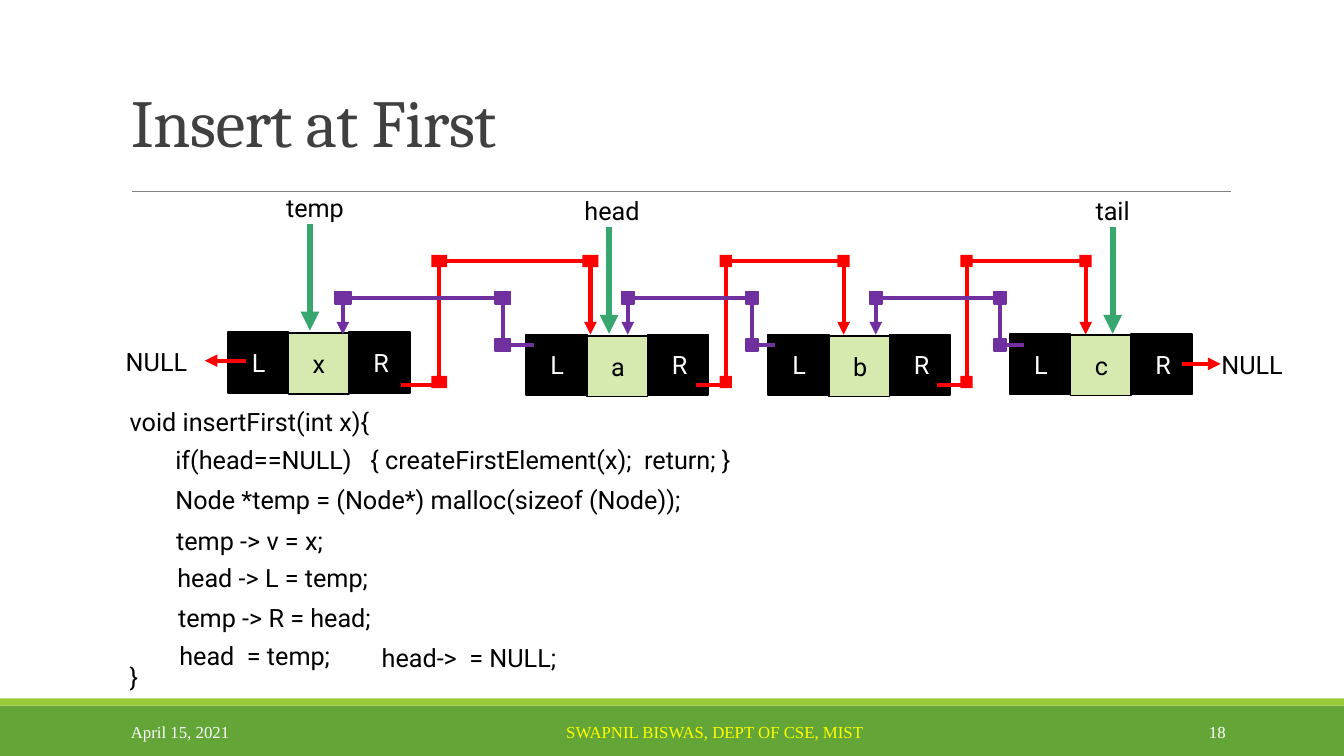
from lxml import etree
from pptx import Presentation
from pptx.dml.color import RGBColor
from pptx.enum.shapes import MSO_CONNECTOR, MSO_SHAPE
from pptx.enum.text import MSO_ANCHOR, PP_ALIGN
from pptx.oxml.ns import qn
from pptx.util import Cm, Pt

STRAIGHT = MSO_CONNECTOR.STRAIGHT
RECTANGLE = MSO_SHAPE.RECTANGLE
TOP, MIDDLE, BOTTOM = MSO_ANCHOR.TOP, MSO_ANCHOR.MIDDLE, MSO_ANCHOR.BOTTOM
LEFT, RIGHT = PP_ALIGN.LEFT, PP_ALIGN.RIGHT

BLACK = RGBColor(0x00, 0x00, 0x00)
WHITE = RGBColor(0xFF, 0xFF, 0xFF)
GRAY = RGBColor(0x80, 0x80, 0x80)
TITLE_GRAY = RGBColor(0x40, 0x40, 0x40)
YELLOW = RGBColor(0xFF, 0xFF, 0x00)
FOOTER_GREEN = RGBColor(0x63, 0xA5, 0x37)
STRIPE_GREEN = RGBColor(0x99, 0xCB, 0x38)
VALUE_GREEN = RGBColor(0xD6, 0xEA, 0xAF)
POINTER_GREEN = RGBColor(0x37, 0xA7, 0x6F)
RED = RGBColor(0xFF, 0x00, 0x00)
PURPLE = RGBColor(0x70, 0x30, 0xA0)

CELL = 1.53
TEXT_HEIGHT = 1.02
JOINT_HEIGHT = 0.31

NODES = [
    (5.74, 8.37, "x"),
    (13.26, 8.43, "a"),
    (19.36, 8.43, "b"),
    (25.45, 8.41, "c"),
]
POINTERS = [
    ("temp", 6.96, 4.72, 7.81),
    ("head", 14.48, 4.8, 15.35),
    ("tail", 27.36, 4.8, 28.04),
]
NEXT_LINKS = [
    (10.11, 11.07, 14.88, 0.4),
    (17.53, 18.29, 21.26, 0.31),
    (23.62, 24.36, 27.36, 0.31),
]
PREVIOUS_LINKS = [
    (13.46, 12.67, 8.64, 0.4),
    (19.53, 18.95, 15.82, 0.31),
    (25.81, 25.2, 22.07, 0.31),
]
CODE_LINES = [
    ("void insertFirst(int x){", 3.02, 10.11),
    ("if(head==NULL)   { createFirstElement(x);  return; }", 4.17, 11.07),
    ("Node *temp = (Node*) malloc(sizeof (Node));", 4.17, 12.07),
    ("temp -> v = x;", 4.19, 13.11),
    ("head -> L = temp;", 4.22, 14.05),
    ("temp -> R = head;", 4.24, 15.06),
    ("head  = temp;", 4.27, 16.0),
    ("head->  = NULL;", 9.37, 16.05),
    ("}", 3.02, 16.54),
]


def write(shape, text, size, font, color, align=LEFT):
    paragraph = shape.text_frame.paragraphs[0]
    paragraph.text = text
    paragraph.alignment = align
    paragraph.font.size = Pt(size)
    paragraph.font.name = font
    paragraph.font.color.rgb = color
    return paragraph


def add_text(slide, text, left, top, width, height=TEXT_HEIGHT, size=18,
             font="Roboto", color=BLACK, anchor=TOP, align=LEFT):
    box = slide.shapes.add_textbox(Cm(left), Cm(top), Cm(width), Cm(height))
    box.text_frame.word_wrap = True
    box.text_frame.vertical_anchor = anchor
    return write(box, text, size, font, color, align)


def add_rectangle(slide, left, top, width, height, fill, outline=None):
    shape = slide.shapes.add_shape(RECTANGLE, Cm(left), Cm(top), Cm(width), Cm(height))
    shape.shadow.inherit = False
    shape.fill.solid()
    shape.fill.fore_color.rgb = fill
    if outline is None:
        shape.line.fill.background()
    else:
        shape.line.color.rgb = outline
        shape.line.width = Pt(1.25)
    return shape


def add_line(slide, start, end, color, width=3, arrow=False):
    points = [Cm(value) for value in (*start, *end)]
    connector = slide.shapes.add_connector(STRAIGHT, *points)
    connector.line.color.rgb = color
    connector.line.width = Pt(width)
    if arrow:
        outline = connector.line._get_or_add_ln()
        etree.SubElement(outline, qn("a:tailEnd"), type="triangle")
    etree.SubElement(connector._element.spPr, qn("a:effectLst"))


def add_node(slide, left, top, value):
    cells = [
        ("L", 0, BLACK, WHITE),
        ("R", 0, BLACK, WHITE),
        (value, 0.03, VALUE_GREEN, BLACK),
    ]
    for (text, drop, fill, color), column in zip(cells, (0, 2, 1)):
        cell = add_rectangle(slide, left + column * CELL, top + drop, CELL, CELL, fill, BLACK)
        cell.text_frame.margin_left = Cm(0.61)
        cell.text_frame.margin_right = 0
        cell.text_frame.vertical_anchor = MIDDLE
        write(cell, text, 18, "Roboto", color)


def add_pointer(slide, label, left, top, tip):
    add_line(slide, (tip, top + 0.92), (tip, top + 3.61), POINTER_GREEN, 4.5, True)
    add_text(slide, label, left, top, 2.03)


def add_link(slide, link, start_height, joint_height, top, color, outline=None):
    start, turn, end, joint_width = link
    corners = [(start, start_height), (turn, start_height), (turn, top), (end, top), (end, 8.43)]
    for index, (first, second) in enumerate(zip(corners, corners[1:])):
        add_line(slide, first, second, color, arrow=index == 3)
    for x, y in [(turn, joint_height), (turn, top), (end, top)]:
        add_rectangle(slide, x - joint_width / 2, y - JOINT_HEIGHT / 2,
                      joint_width, JOINT_HEIGHT, color, outline)


def add_frame(slide):
    add_rectangle(slide, 0, 17.78, 33.87, 1.27, FOOTER_GREEN)
    add_rectangle(slide, 0, 17.6, 33.87, 0.18, STRIPE_GREEN)
    add_line(slide, (3.33, 4.83), (31.01, 4.83), GRAY, 0.5)
    footer = {"size": 12, "font": "Times New Roman"}
    add_text(slide, "SWAPNIL BISWAS, DEPT OF CSE, MIST", 14.02, 18.06, 8.5, 0.76,
             color=YELLOW, **footer)
    add_text(slide, "April 15, 2021", 3.05, 17.93, 6.86, color=WHITE, anchor=MIDDLE, **footer)
    add_text(slide, "18", 27.51, 17.93, 3.63, color=WHITE, anchor=MIDDLE, align=RIGHT, **footer)
    title = add_text(slide, "Insert at First", 3.05, 0.15, 27.94, 4.04, 48, "Cambria",
                     TITLE_GRAY, BOTTOM)
    title.line_spacing = 0.85
    title.runs[0]._r.get_or_add_rPr().set("spc", "-50")


def main():
    presentation = Presentation()
    presentation.slide_width = Cm(33.87)
    presentation.slide_height = Cm(19.05)
    slide = presentation.slides.add_slide(presentation.slide_layouts[6])
    add_frame(slide)
    for node in NODES:
        add_node(slide, *node)
    for pointer in POINTERS:
        add_pointer(slide, *pointer)
    for link in NEXT_LINKS:
        add_link(slide, link, 9.7, 9.63, 6.58, RED)
    for link in PREVIOUS_LINKS:
        add_link(slide, link, 8.69, 8.69, 7.5, PURPLE, PURPLE)
    add_text(slide, "NULL", 2.92, 8.61, 2.39)
    add_line(slide, (6.2, 9.09), (5.16, 9.09), RED, arrow=True)
    add_text(slide, "NULL", 30.53, 8.69, 2.39)
    add_line(slide, (29.79, 9.17), (30.76, 9.17), RED, arrow=True)
    for text, left, top in CODE_LINES:
        add_text(slide, text, left, top, 15.01)
    presentation.save("out.pptx")


if __name__ == "__main__":
    main()
